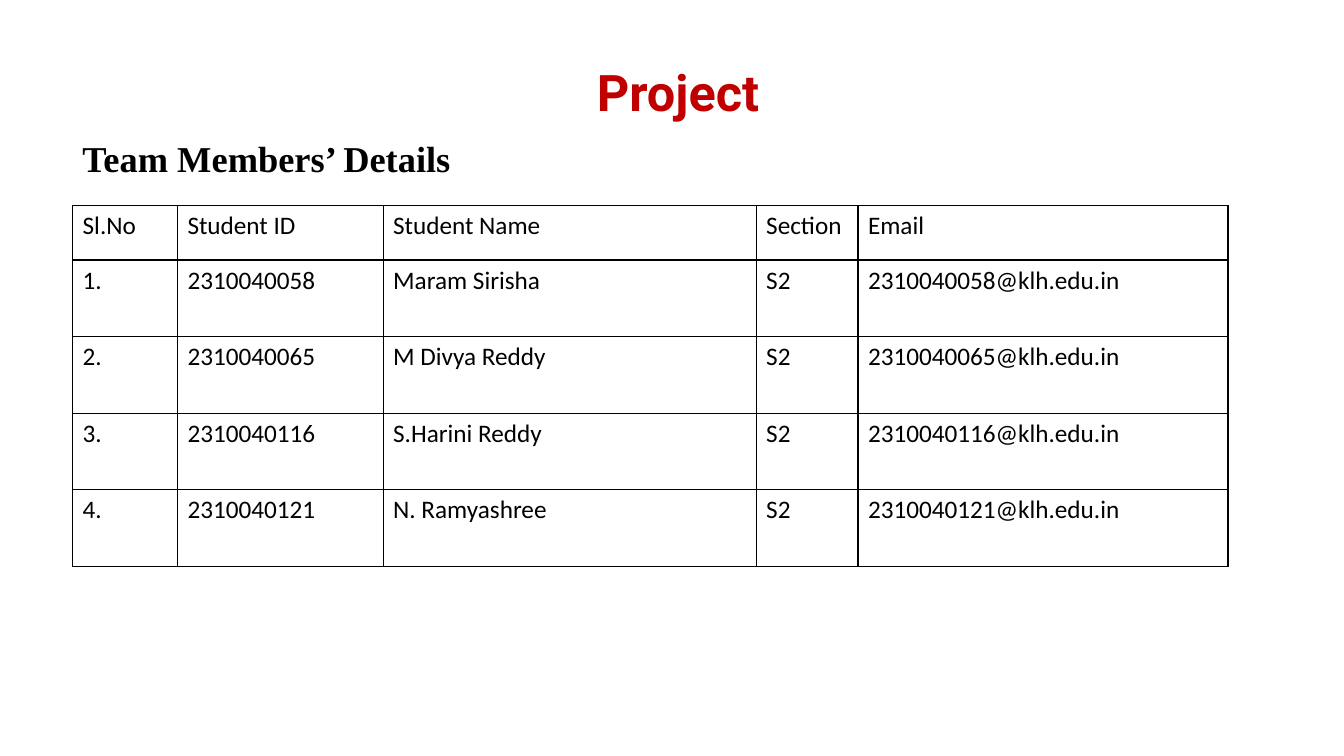
from lxml.etree import SubElement
from pptx import Presentation
from pptx.dml.color import RGBColor
from pptx.enum.text import MSO_ANCHOR as Anchor, MSO_AUTO_SIZE as AutoSize, PP_ALIGN as Align
from pptx.oxml import parse_xml
from pptx.oxml.ns import nsdecls, qn
from pptx.util import Pt

PX = 9144  # EMU per px, 100 px to the inch
BLACK = RGBColor(0x00, 0x00, 0x00)
WHITE = RGBColor(0xFF, 0xFF, 0xFF)
RED = RGBColor(0xC0, 0x00, 0x00)

COLUMNS = [104, 204, 370, 101, 367]
HEADER_HEIGHT, ROW_HEIGHT = 54, 76
HEADER = ["Sl.No", "Student ID", "Student Name", "Section", "Email"]
MEMBERS = [
    ("2310040058", "Maram Sirisha"),
    ("2310040065", "M Divya Reddy"),
    ("2310040116", "S.Harini Reddy"),
    ("2310040121", "N. Ramyashree"),
]


def put_text(tf, text, font="Calibri", size=18, color=BLACK, bold=False, align=Align.LEFT):
    p = tf.paragraphs[0]
    p.alignment = align
    r = p.add_run()
    r.text = text
    r.font.name, r.font.size, r.font.bold = font, Pt(size), bold
    r.font.color.rgb = color


def set_borders(cell, color=BLACK, width=1):
    tcPr = cell._tc.get_or_add_tcPr()
    for i, side in enumerate(("lnL", "lnR", "lnT", "lnB")):
        ln = parse_xml(f'<a:{side} {nsdecls("a")} w="{Pt(width)}"/>')
        fill = SubElement(ln, qn("a:solidFill"))
        SubElement(fill, qn("a:srgbClr"), val=str(color))
        tcPr.insert(i, ln)


class SlideBuilder:
    def __init__(self, prs):
        self.s = prs.slides.add_slide(prs.slide_layouts[5])

    def title(self, x, y, w, h, text, **style):
        sp = self.s.shapes.title
        sp.left, sp.top, sp.width, sp.height = (v * PX for v in (x, y, w, h))
        tf = sp.text_frame
        tf.auto_size = AutoSize.NONE
        tf.vertical_anchor = Anchor.TOP
        put_text(tf, text, **style)

    def text(self, x, y, w, h, text, **style):
        sp = self.s.shapes.add_textbox(x * PX, y * PX, w * PX, h * PX)
        sp.text_frame.word_wrap = True
        put_text(sp.text_frame, text, **style)

    def table(self, x, y, widths, heights, rows):
        frame = self.s.shapes.add_table(len(rows), len(widths), x * PX, y * PX,
                                        sum(widths) * PX, sum(heights) * PX)
        table = frame.table
        table.first_row = table.horz_banding = False
        for column, w in zip(table.columns, widths):
            column.width = w * PX
        for row, h, values in zip(table.rows, heights, rows):
            row.height = h * PX
            for cell, value in zip(row.cells, values):
                cell.fill.solid()
                cell.fill.fore_color.rgb = WHITE
                set_borders(cell)
                put_text(cell.text_frame, value)


def main():
    prs = Presentation()
    prs.slide_width, prs.slide_height = 1333 * PX, 750 * PX
    slide = SlideBuilder(prs)

    # Headings
    slide.title(339, 56, 667, 111, "Project", font="Roboto", size=36,
                color=RED, bold=True, align=Align.CENTER)
    slide.text(72, 130, 674, 62, "Team Members’ Details",
               font="Times New Roman", size=26, bold=True)

    # Team table
    rows = [HEADER] + [
        [f"{n}.", student_id, name, "S2", f"{student_id}@klh.edu.in"]
        for n, (student_id, name) in enumerate(MEMBERS, 1)
    ]
    heights = [HEADER_HEIGHT] + [ROW_HEIGHT] * len(MEMBERS)
    slide.table(72, 204, COLUMNS, heights, rows)

    prs.save("out.pptx")


if __name__ == "__main__":
    main()
